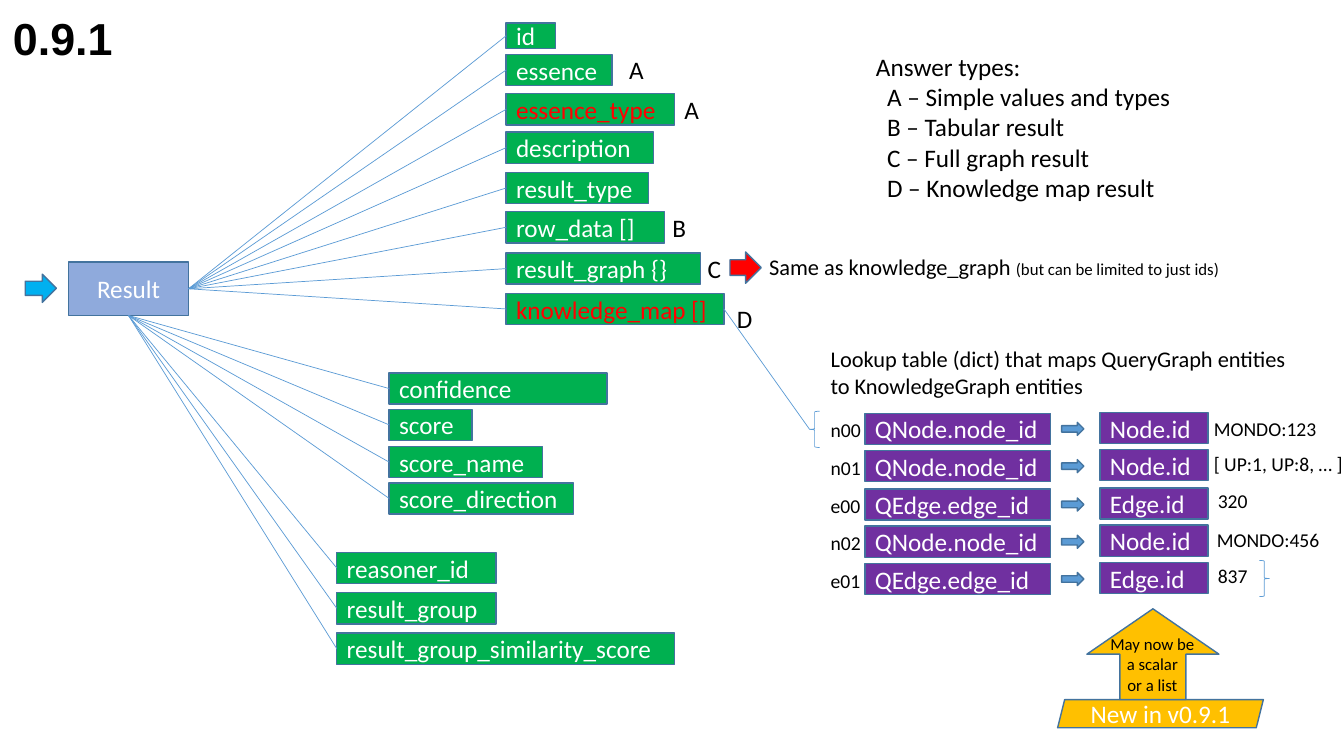
from dataclasses import dataclass

from lxml.etree import SubElement
from pptx import Presentation
from pptx.dml.color import RGBColor
from pptx.enum.shapes import MSO_CONNECTOR, MSO_SHAPE
from pptx.enum.text import MSO_ANCHOR, MSO_AUTO_SIZE, PP_ALIGN
from pptx.oxml.ns import qn
from pptx.util import Inches, Pt


@dataclass(frozen=True)
class Theme:
    body_font: str = "Calibri"
    title_font: str = "Arial"
    title: int = 32
    label: int = 18
    caption: int = 16
    value: int = 14
    small: int = 12
    black: str = "000000"
    white: str = "FFFFFF"
    red: str = "FF0000"
    result: str = "8FAADC"
    field: str = "00B050"
    entity: str = "7030A0"
    news: str = "FFC000"
    entry: str = "00B0F0"
    accent: str = "5B9BD5"
    outline: str = "43739E"


THEME = Theme()
TOP, LEFT, BOTTOM, RIGHT = range(4)
FIELD_HEIGHT = 0.31

RESULT_FIELDS = [
    ("id", 0.23, 0.49, 0.25),
    ("essence", 0.54, 1.05, FIELD_HEIGHT),
    ("essence_type", 0.93, 1.67, FIELD_HEIGHT),
    ("description", 1.31, 1.46, FIELD_HEIGHT),
    ("result_type", 1.71, 1.41, FIELD_HEIGHT),
    ("row_data []", 2.1, 1.57, FIELD_HEIGHT),
    ("result_graph {}", 2.51, 1.93, FIELD_HEIGHT),
    ("knowledge_map []", 2.91, 2.16, FIELD_HEIGHT),
]
SCORE_FIELDS = [("confidence", 2.16), ("score", 0.82),
                ("score_name", 1.52), ("score_direction", 1.83)]
GROUP_FIELDS = [("reasoner_id", 1.58), ("result_group", 1.58),
                ("result_group_similarity_score", 3.35)]
CHANGED_FIELDS = {"essence_type", "knowledge_map []"}
ANSWER_MARKS = [("A", 6.14, 0.49), ("A", 6.69, 0.89), ("B", 6.57, 2.06),
                ("C", 6.92, 2.46), ("D", 7.21, 2.96)]
ANSWER_TYPES = ["A – Simple values and types", "B – Tabular result",
                "C – Full graph result", "D – Knowledge map result"]
MAP_ROWS = [
    ("n00", "Node", "MONDO:123", 11.94, 4.09, 1.23),
    ("n01", "Node", "[ UP:1, UP:8, … ]", 11.94, 4.43, 1.49),
    ("e00", "Edge", "320", 11.98, 4.8, 0.5),
    ("n02", "Node", "MONDO:456", 11.97, 5.19, 1.23),
    ("e01", "Edge", "837", 11.98, 5.55, 0.5),
]


def color(value):
    return RGBColor.from_string(value)


def add_span(para, text, size=THEME.label, ink=THEME.black,
             font=THEME.body_font, bold=False):
    span = para.add_run()
    span.text = text
    span.font.size = Pt(size)
    span.font.name = font
    span.font.bold = bold
    span.font.color.rgb = color(ink)


def write(frame, text, align=PP_ALIGN.LEFT, **style):
    for index, line in enumerate(text.split("\n")):
        para = frame.paragraphs[0] if index == 0 else frame.add_paragraph()
        para.alignment = align
        add_span(para, line, **style)


def add_text(page, text, left, top, width, height, wrap=False, **style):
    box = page.shapes.add_textbox(*map(Inches, (left, top, width, height)))
    frame = box.text_frame
    frame.word_wrap = wrap
    frame.auto_size = MSO_AUTO_SIZE.SHAPE_TO_FIT_TEXT
    write(frame, text, **style)
    return box


def add_block(page, kind, left, top, width, height, fill=None,
              line=THEME.outline, weight=1, text="", **style):
    block = page.shapes.add_shape(kind, *map(Inches, (left, top, width, height)))
    block.shadow.inherit = False
    if fill:
        block.fill.solid()
        block.fill.fore_color.rgb = color(fill)
    else:
        block.fill.background()
    block.line.color.rgb = color(line)
    block.line.width = Pt(weight)
    if text:
        block.text_frame.vertical_anchor = MSO_ANCHOR.MIDDLE
        write(block.text_frame, text, ink=style.pop("ink", THEME.white), **style)
    return block


def add_field(page, name, left, top, width, height=FIELD_HEIGHT):
    ink = THEME.red if name in CHANGED_FIELDS else THEME.white
    return add_block(page, MSO_SHAPE.RECTANGLE, left, top, width, height,
                     THEME.field, text=name, ink=ink)


def add_link(page, start, start_site, end, end_site):
    link = page.shapes.add_connector(MSO_CONNECTOR.STRAIGHT, 0, 0, 0, 0)
    link.begin_connect(start, start_site)
    link.end_connect(end, end_site)
    link.line.color.rgb = color(THEME.accent)
    link.line.width = Pt(0.5)
    SubElement(link._element.spPr, qn("a:effectLst"))


def add_brace(page, kind, left, top):
    return add_block(page, kind, left, top, 0.1, 0.36,
                     line=THEME.accent, weight=0.5)


def add_result_tree(page):
    result = add_block(page, MSO_SHAPE.RECTANGLE, 0.68, 2.6, 1.19, 0.53,
                       THEME.result, text="Result", align=PP_ALIGN.CENTER)
    add_block(page, MSO_SHAPE.RIGHT_ARROW, 0.25, 2.72, 0.31, 0.28, THEME.entry)
    for name, top, width, height in RESULT_FIELDS:
        field = add_field(page, name, 5.02, top, width, height)
        add_link(page, field, LEFT, result, RIGHT)
    knowledge_map = field
    for fields, left, first, pitch in ((SCORE_FIELDS, 3.86, 3.7, 0.363),
                                       (GROUP_FIELDS, 3.34, 5.48, 0.4)):
        for row, (name, width) in enumerate(fields):
            field = add_field(page, name, left, round(first + row * pitch, 2), width)
            add_link(page, field, LEFT, result, BOTTOM)
    for mark, left, top in ANSWER_MARKS:
        add_text(page, mark, left, top, 0.35, 0.4)
    return knowledge_map


def add_answer_types(page):
    box = add_text(page, "\n".join(["Answer types:"] + ANSWER_TYPES),
                   8.59, 0.46, 3.16, 1.62)
    for para in box.text_frame.paragraphs[1:]:
        para._p.get_or_add_pPr().set("marL", str(Inches(0.11)))


def add_graph_note(page):
    add_block(page, MSO_SHAPE.RIGHT_ARROW, 7.24, 2.5, 0.31, 0.31, THEME.red)
    box = add_text(page, "Same as knowledge_graph ", 7.53, 2.46, 4.72, 0.37,
                   size=THEME.caption)
    add_span(box.text_frame.paragraphs[0], "(but can be limited to just ids)",
             size=THEME.small)


def add_lookup(page, knowledge_map):
    add_text(page, "Lookup table (dict) that maps QueryGraph entities "
             "to KnowledgeGraph entities", 8.14, 3.38, 4.89, 0.64,
             wrap=True, size=THEME.caption)
    for row, (key, kind, value, left, value_top, width) in enumerate(MAP_ROWS):
        top = round(4.09 + row * 0.373, 2)
        query = f"Q{kind}.{kind.lower()}_id"
        add_block(page, MSO_SHAPE.RECTANGLE, 8.58, top + 0.01, 1.84, FIELD_HEIGHT,
                  THEME.entity, text=query)
        add_block(page, MSO_SHAPE.RIGHT_ARROW, 10.53, top + 0.1, 0.22, 0.13,
                  THEME.accent)
        add_block(page, MSO_SHAPE.RECTANGLE, 10.91, top, 1.07, FIELD_HEIGHT,
                  THEME.entity, text=f"{kind}.id")
        add_text(page, key, 8.14, top + 0.01, 0.51, 0.34, size=THEME.value)
        add_text(page, value, left, value_top, width, 0.34, size=THEME.value)
    first_row = add_brace(page, MSO_SHAPE.LEFT_BRACE, 8.03, 4.08)
    add_brace(page, MSO_SHAPE.RIGHT_BRACE, 12.49, 5.56)
    add_link(page, first_row, LEFT, knowledge_map, RIGHT)


def add_news(page):
    add_block(page, MSO_SHAPE.PARALLELOGRAM, 10.49, 6.94, 2.04, 0.28,
              THEME.news, text="New in v0.9.1", align=PP_ALIGN.CENTER)
    add_block(page, MSO_SHAPE.UP_ARROW, 10.78, 6.04, 1.31, 0.9, THEME.news)
    add_text(page, "May now be\na scalar\nor a list", 10.91, 6.24, 1.04, 0.71,
             size=THEME.small, align=PP_ALIGN.CENTER)


def main():
    deck = Presentation()
    deck.slide_width, deck.slide_height = Inches(13.33), Inches(7.5)
    page = deck.slides.add_slide(deck.slide_layouts[6])
    add_text(page, "0.9.1", 0.03, 0.06, 1.92, 0.64, wrap=True,
             size=THEME.title, font=THEME.title_font, bold=True)
    knowledge_map = add_result_tree(page)
    add_answer_types(page)
    add_graph_note(page)
    add_lookup(page, knowledge_map)
    add_news(page)
    deck.save("out.pptx")


main()
